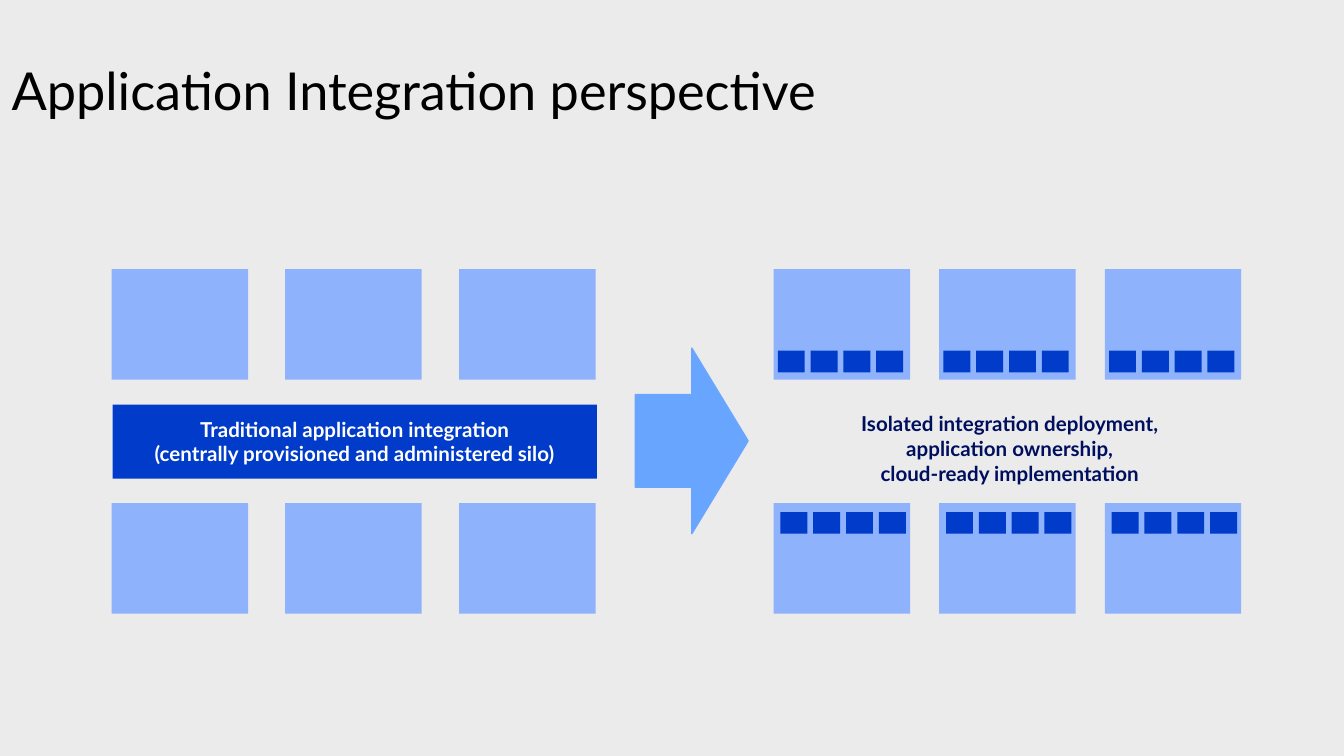
from collections import namedtuple
from pptx import Presentation
from pptx.dml.color import RGBColor as Rgb
from pptx.enum.shapes import MSO_SHAPE as Kind
from pptx.enum.text import MSO_ANCHOR as Anchor, MSO_AUTO_SIZE as Fit, PP_ALIGN as Align
from pptx.util import Cm, Pt

COLORS = {"back": "EBEBEB", "app": "8FB2FC", "flow": "003BC9", "arrow": "68A5FF",
          "edge": "6BA5FF", "white": "FFFFFF", "navy": "000E5E", "black": "000000"}
FONT = "Lato"
APP_W, APP_H = 2.58, 2.09
FLOW_W, FLOW_H, FLOW_STEP = 0.51, 0.41, 0.62
Box = namedtuple("Box", "x y w h")


def color(name):
    """Return the named palette color."""
    return Rgb.from_string(COLORS[name])


def lengths(box):
    """Return the box as four lengths."""
    return [Cm(round(side, 2)) for side in box]


def add_block(slide, box, fill, kind=Kind.RECTANGLE, edge=None):
    """Add a flat filled shape, with a thin edge if one is named."""
    block = slide.shapes.add_shape(kind, *lengths(box))
    block.shadow.inherit = False
    block.fill.solid()
    block.fill.fore_color.rgb = color(fill)
    if edge:
        block.line.color.rgb = color(edge)
        block.line.width = Pt(0.75)
    else:
        block.line.fill.background()


def add_run(para, text, size, tint, bold=False):
    """Add one styled run to a paragraph."""
    run = para.add_run()
    run.text = text
    run.font.name = FONT
    run.font.size = Pt(size)
    run.font.bold = bold
    run.font.color.rgb = color(tint)


def add_label(slide, box, lines, tint):
    """Add a centered bold label with one paragraph per line."""
    frame = slide.shapes.add_textbox(*lengths(box)).text_frame
    frame.word_wrap = True
    frame.auto_size = Fit.SHAPE_TO_FIT_TEXT
    for i, line in enumerate(lines):
        para = frame.paragraphs[0] if i == 0 else frame.add_paragraph()
        para.alignment = Align.CENTER
        add_run(para, line, 11, tint, True)


def add_title(slide, box, text):
    """Place and fill the title placeholder."""
    title = slide.shapes.title
    title.left, title.top, title.width, title.height = lengths(box)
    frame = title.text_frame
    frame.margin_left = frame.margin_right = frame.margin_top = frame.margin_bottom = 0
    frame.vertical_anchor = Anchor.MIDDLE
    frame.auto_size = Fit.NONE
    para = frame.paragraphs[0]
    para.alignment = Align.LEFT
    para.line_spacing = 0.9
    add_run(para, text, 28, "black")


def add_apps(slide, box):
    """Fill the box with two rows of three apps and return their corners by row."""
    step = (box.w - APP_W) / 2
    rows = [[(box.x + col * step, y) for col in range(3)]
            for y in (box.y, box.y + box.h - APP_H)]
    for x, y in rows[0] + rows[1]:
        add_block(slide, Box(x, y, APP_W, APP_H), "app")
    return rows


def add_silo(slide, box):
    """Build the apps around one central integration bar."""
    add_apps(slide, box)
    add_block(slide, Box(box.x + 0.02, box.y + 2.56, box.w, 1.4), "flow")
    add_label(slide, Box(box.x + 0.02, box.y + 2.66, box.w, 1.19),
              ["Traditional application integration",
               "(centrally provisioned and administered silo)"], "white")


def add_cloud(slide, box):
    """Build the apps that each hold their own integrations."""
    rows = add_apps(slide, box)
    for row, (dx, dy) in zip(rows, [(0.08, 1.54), (0.13, 0.17)]):
        for x, y in row:
            for i in range(4):
                add_block(slide, Box(x + dx + i * FLOW_STEP, y + dy, FLOW_W, FLOW_H), "flow")
    add_label(slide, Box(box.x + 0.4, box.y + 2.56, 8.13, 1.68),
              ["Isolated integration deployment,", "application ownership,",
               "cloud-ready implementation"], "navy")


def main():
    """Build and save the slide."""
    deck = Presentation()
    deck.slide_width, deck.slide_height = Cm(25.4), Cm(14.29)
    slide = deck.slides.add_slide(deck.slide_layouts[5])
    slide.background.fill.solid()
    slide.background.fill.fore_color.rgb = color("back")
    add_title(slide, Box(0.22, 0.02, 18.14, 3.5), "Application Integration perspective")
    add_silo(slide, Box(2.11, 5.09, 9.15, 6.51))
    add_cloud(slide, Box(14.62, 5.09, 8.84, 6.51))
    add_block(slide, Box(12.01, 6.58, 2.13, 3.51), "arrow", Kind.RIGHT_ARROW, "edge")
    deck.save("out.pptx")


if __name__ == "__main__":
    main()
